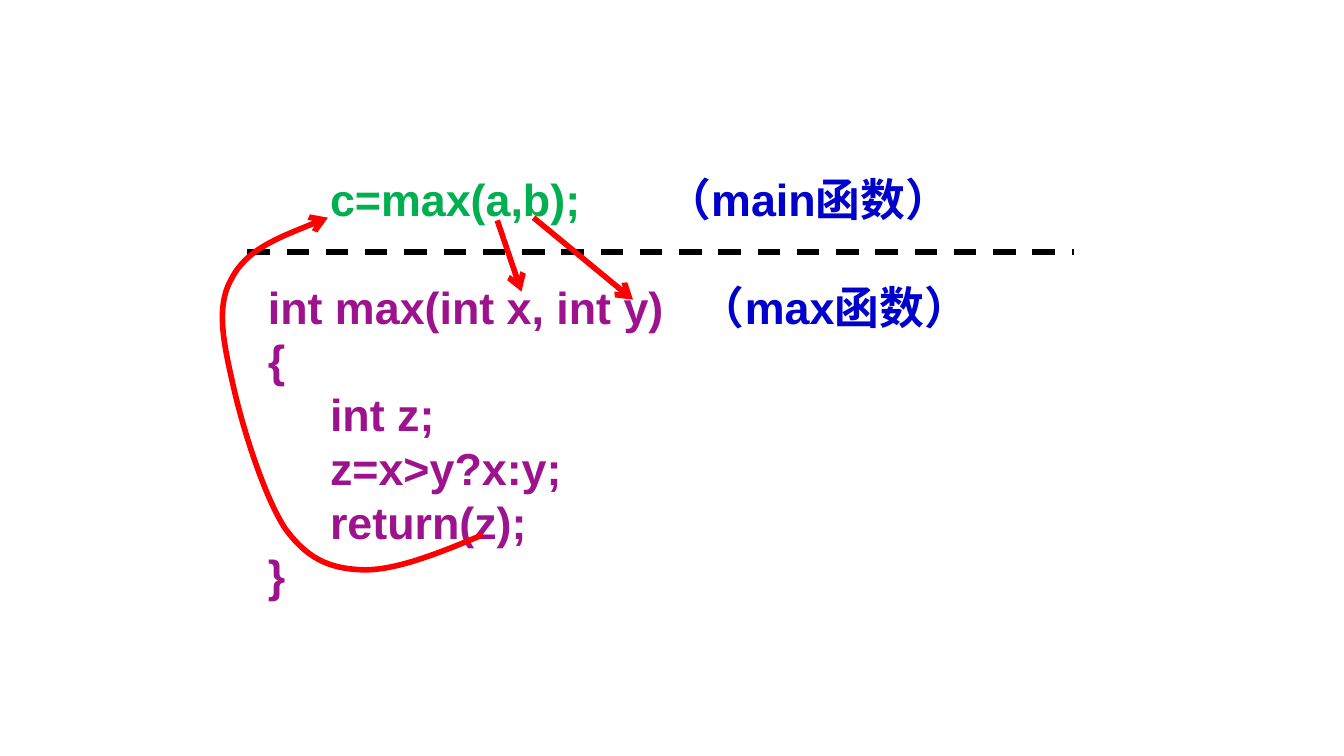
"""Build a slide showing how arguments and the result pass between main and max."""
from dataclasses import dataclass
from typing import Optional

from lxml import etree
from pptx import Presentation
from pptx import util as u
from pptx.dml.color import RGBColor
from pptx.enum import dml, shapes, text
from pptx.oxml.ns import qn

PX = u.Inches(1) // 200
RED, GREEN, BLUE, PURPLE, BLACK = "FF0000", "00B050", "0000CC", "9D138D", "000000"
LINE_PITCH = u.Pt(28.8)


@dataclass
class CodeLine:
    """One line of code with an optional label at a tab stop."""
    code: str
    color: str = PURPLE
    label: str = ""
    label_x: int = 0
    gap_before: bool = False


@dataclass
class Stroke:
    """A straight line between two points."""
    start: tuple[int, int]
    end: tuple[int, int]
    color: str = RED
    dash: Optional[dml.MSO_LINE] = None
    arrow: bool = True


CODE_LINES = [
    CodeLine("     c=max(a,b);", GREEN, "（main函数）", 593),
    CodeLine("int max(int x, int y)", PURPLE, "（max函数）", 643, gap_before=True),
    CodeLine("{"),
    CodeLine("     int z;"),
    CodeLine("     z=x>y?x:y;"),
    CodeLine("     return(z);"),
    CodeLine("}"),
]

STROKES = [
    Stroke((368, 375), (1598, 375), BLACK, dml.MSO_LINE.DASH, arrow=False),
    Stroke((740, 328), (776, 434)),
    Stroke((794, 324), (942, 446)),
]

RETURN_PATH = [
    (718, 796),
    (652, 824), (586, 850), (538, 848),
    (488, 846), (456, 830), (424, 786),
    (394, 740), (362, 640), (348, 578),
    (334, 516), (320, 458), (344, 416),
    (366, 372), (428, 348), (488, 324),
]


def px(length: int) -> int:
    """Turn a length in px into EMU."""
    return length * PX


def rgb(color: str) -> RGBColor:
    """Turn a hex string into a colour."""
    return RGBColor.from_string(color)


def style_line(shape, color: str, arrow: bool) -> None:
    """Give a shape a plain 3 pt line, with an arrowhead if wanted."""
    shape.line.color.rgb = rgb(color)
    shape.line.width = u.Pt(3)
    if arrow:
        line = shape.line._get_or_add_ln()
        etree.SubElement(line, qn("a:tailEnd"), type="arrow")


def add_span(para, words: str, color: str) -> None:
    """Add one bold run to a paragraph."""
    span = para.add_run()
    span.text = words
    span.font.name = "Arial"
    span.font.size = u.Pt(24)
    span.font.bold = True
    span.font.color.rgb = rgb(color)


def add_code(page, lines: list[CodeLine]) -> None:
    """Write all lines of code in one text box."""
    box = page.shapes.add_textbox(px(379), px(246), px(1290), px(714))
    frame = box.text_frame
    frame.word_wrap = True
    frame.vertical_anchor = text.MSO_ANCHOR.TOP
    for index, line in enumerate(lines):
        para = frame.add_paragraph() if index else frame.paragraphs[0]
        if line.label:
            tabs = etree.SubElement(para._p.get_or_add_pPr(), qn("a:tabLst"))
            etree.SubElement(tabs, qn("a:tab"), pos=str(px(line.label_x)), algn="l")
        para.line_spacing = LINE_PITCH
        if line.gap_before:
            para.space_before = LINE_PITCH
        add_span(para, line.code, line.color)
        if line.label:
            add_span(para, "\t" + line.label, BLUE)


def add_stroke(page, stroke: Stroke) -> None:
    """Draw one straight line or arrow."""
    connector = page.shapes.add_connector(
        shapes.MSO_CONNECTOR.STRAIGHT, *map(px, stroke.start + stroke.end))
    if stroke.dash is not None:
        connector.line.dash_style = stroke.dash
    style_line(connector, stroke.color, stroke.arrow)
    etree.SubElement(connector._element.spPr, qn("a:effectLst"))


def add_curve(page, points: list[tuple[int, int]], color: str) -> None:
    """Draw an open curve with an arrowhead through Bézier points."""
    builder = page.shapes.build_freeform(*points[0], scale=PX)
    builder.add_line_segments(points[1:], close=False)
    curve = builder.convert_to_shape()
    path = curve._element.find(".//" + qn("a:path"))
    segments = path.findall(qn("a:lnTo"))
    for first in range(0, len(segments), 3):
        bezier = etree.SubElement(path, qn("a:cubicBezTo"))
        for segment in segments[first:first + 3]:
            bezier.append(segment[0])
            path.remove(segment)
    curve.fill.background()
    style_line(curve, color, arrow=True)
    curve.shadow.inherit = False


def main() -> None:
    """Build and save the slide."""
    deck = Presentation()
    deck.slide_width, deck.slide_height = px(2000), px(1125)
    page = deck.slides.add_slide(deck.slide_layouts[6])
    add_code(page, CODE_LINES)
    for stroke in STROKES:
        add_stroke(page, stroke)
    add_curve(page, RETURN_PATH, RED)
    deck.save("out.pptx")


if __name__ == "__main__":
    main()
